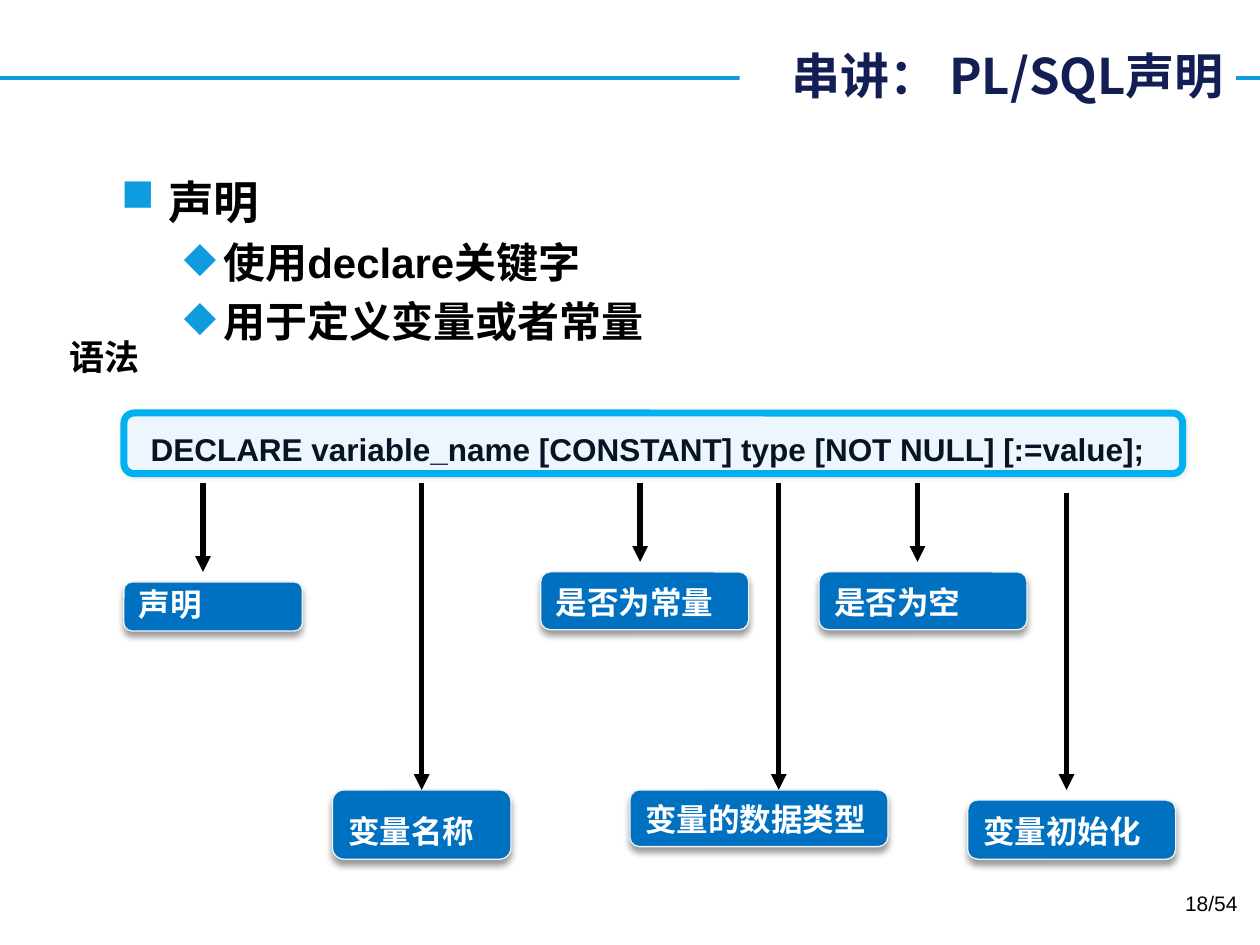
"""Build the slide that explains PL/SQL declarations and their syntax."""
from dataclasses import dataclass
from typing import Any, Optional

import lxml.etree
import pptx
import pptx.dml.color
import pptx.enum.shapes
import pptx.enum.text
import pptx.oxml
import pptx.oxml.ns
import pptx.util

Pt = pptx.util.Pt
RGB = pptx.dml.color.RGBColor.from_string
ANCHOR = pptx.enum.text.MSO_ANCHOR
ALIGN = pptx.enum.text.PP_ALIGN
SHAPE = pptx.enum.shapes.MSO_SHAPE
NAMESPACE = 'xmlns:a="http://schemas.openxmlformats.org/drawingml/2006/main"'


@dataclass(frozen=True)
class Theme:
    accent: str = "0E9CDE"
    title: str = "121E54"
    text: str = "000000"
    white: str = "FFFFFF"
    label_fill: str = "0070C0"
    label_line: str = "F2F2F2"
    code_fill: str = "EDF5FD"
    code_line: str = "00B0F0"
    code_text: str = "071424"
    latin: str = "Arial"
    chinese: str = "Noto Sans CJK SC"
    title_size: float = 28
    bullet_size: float = 26
    sub_bullet_size: float = 24
    heading_size: float = 20
    label_size: float = 18
    number_size: float = 12


@dataclass(frozen=True)
class Box:
    left: float
    top: float
    width: float
    height: float


@dataclass(frozen=True)
class Shadow:
    alpha: int
    blur: float
    distance: float
    direction: int


@dataclass(frozen=True)
class Bullet:
    text: str
    symbol: str
    level: int
    margin: float
    hanging: float
    size: float


@dataclass(frozen=True)
class Part:
    text: str
    box: Box
    arrow_x: float
    arrow_top: float
    arrow_bottom: float
    joined: bool = False


THEME = Theme()
SOFT_SHADOW = Shadow(10, 3, 0, 0)
LABEL_SHADOW = Shadow(40, 4, 3, 90)
ARROW_TOP, UPPER_TIP, LOWER_TIP = 275.8, 321.1, 451.4
BULLETS = (
    Bullet("声明", "■", 0, 27, 27, THEME.bullet_size),
    Bullet("使用declare关键字", "◆", 1, 58.5, 22.5, THEME.sub_bullet_size),
    Bullet("用于定义变量或者常量", "◆", 1, 58.5, 22.5, THEME.sub_bullet_size),
)
PARTS = (
    Part("声明", Box(70.8, 332.6, 102, 28), 116, ARROW_TOP, 326.8),
    Part("变量名称", Box(190, 451.4, 102, 39.6), 241, ARROW_TOP, LOWER_TIP, True),
    Part("是否为常量", Box(309, 326.8, 118.8, 33.1), 365.8, ARROW_TOP, UPPER_TIP),
    Part("变量的数据类型", Box(360, 451.4, 147.4, 32.4), 445, ARROW_TOP, LOWER_TIP),
    Part("是否为空", Box(468, 326.8, 118.8, 33.1), 524.3, ARROW_TOP, UPPER_TIP),
    Part("变量初始化", Box(553, 457.2, 118.8, 33.8), 609.5, 281.5, LOWER_TIP),
)


def set_format(target: Any, **values: Any) -> None:
    """Set every given attribute on the target."""
    for name, value in values.items():
        setattr(target, name, value)


def place(box: Box) -> tuple:
    """Return the box as point lengths."""
    return Pt(box.left), Pt(box.top), Pt(box.width), Pt(box.height)


def effect_list(shadow: Optional[Shadow] = None) -> Any:
    """Return an effect list, empty or with an outer shadow."""
    effects = pptx.oxml.parse_xml(f"<a:effectLst {NAMESPACE}/>")
    if shadow:
        effects.append(pptx.oxml.parse_xml(
            f'<a:outerShdw {NAMESPACE} blurRad="{Pt(shadow.blur)}" dist="{Pt(shadow.distance)}" '
            f'dir="{shadow.direction * 60000}" algn="ctr" rotWithShape="0"><a:srgbClr val="{THEME.text}">'
            f'<a:alpha val="{shadow.alpha * 1000}"/></a:srgbClr></a:outerShdw>'))
    return effects


def write(paragraph: Any, text: str, size: float, color: str, bold: bool = True,
          latin: str = THEME.latin) -> Any:
    """Add one formatted run to the paragraph."""
    run = paragraph.add_run()
    run.text = text
    set_format(run.font, size=Pt(size), bold=bold, name=latin)
    run.font.color.rgb = RGB(color)
    properties = run.font._element
    properties.find(pptx.oxml.ns.qn("a:latin")).addnext(
        pptx.oxml.parse_xml(f'<a:ea {NAMESPACE} typeface="{THEME.chinese}"/>'))
    return run


def add_text_box(slide: Any, box: Box, **values: Any) -> Any:
    """Add a text box and return its text frame."""
    frame = slide.shapes.add_textbox(*place(box)).text_frame
    set_format(frame, **{"word_wrap": True, **values})
    return frame


def add_line(slide: Any, start: tuple, end: tuple, color: str, width: float, arrow: bool = False) -> Any:
    """Add a straight line, with an arrowhead at its end if asked."""
    line = slide.shapes.add_connector(
        pptx.enum.shapes.MSO_CONNECTOR.STRAIGHT, *map(Pt, start + end))
    line.line.color.rgb = RGB(color)
    line.line.width = Pt(width)
    if arrow:
        tail = lxml.etree.SubElement(line.line._get_or_add_ln(), pptx.oxml.ns.qn("a:tailEnd"))
        tail.set("type", "triangle")
    line._element.spPr.append(effect_list())
    return line


def add_panel(slide: Any, box: Box, fill: str, outline: str, width: float, shadow: Shadow,
              anchor: Any) -> Any:
    """Add a rounded rectangle ready for left-aligned text."""
    panel = slide.shapes.add_shape(SHAPE.ROUNDED_RECTANGLE, *place(box))
    panel.fill.solid()
    panel.fill.fore_color.rgb = RGB(fill)
    panel.line.color.rgb = RGB(outline)
    panel.line.width = Pt(width)
    panel._element.spPr.append(effect_list(shadow))
    set_format(panel.text_frame, word_wrap=True, vertical_anchor=anchor)
    panel.text_frame.paragraphs[0].alignment = ALIGN.LEFT
    return panel


def add_title(slide: Any, text: str) -> None:
    """Place the title over the header line."""
    add_line(slide, (0, 44.6), (720, 44.6), THEME.accent, 2.25)
    title = slide.shapes.title
    set_format(title, **dict(zip(("left", "top", "width", "height"), place(Box(422.6, 22.3, 283.7, 41)))))
    title.fill.solid()
    title.fill.fore_color.rgb = RGB(THEME.white)
    set_format(title.text_frame, word_wrap=True, vertical_anchor=ANCHOR.MIDDLE)
    paragraph = title.text_frame.paragraphs[0]
    paragraph.alignment = ALIGN.RIGHT
    write(paragraph, text, THEME.title_size, THEME.title, latin=THEME.chinese)
    slide.shapes._spTree.append(title._element)


def add_bullets(slide: Any, box: Box) -> None:
    """Add the bulleted list."""
    frame = add_text_box(slide, box)
    for index, bullet in enumerate(BULLETS):
        paragraph = frame.add_paragraph() if index else frame.paragraphs[0]
        set_format(paragraph, level=bullet.level, space_before=Pt(bullet.size * 0.2 if index else 0))
        properties = paragraph._p.get_or_add_pPr()
        properties.set("marL", str(Pt(bullet.margin)))
        properties.set("indent", str(-Pt(bullet.hanging)))
        for xml in (f'<a:buClr {NAMESPACE}><a:srgbClr val="{THEME.accent}"/></a:buClr>',
                    f'<a:buChar {NAMESPACE} char="{bullet.symbol}"/>'):
            properties.append(pptx.oxml.parse_xml(xml))
        write(paragraph, bullet.text, bullet.size, THEME.text)


def add_part(slide: Any, part: Part) -> None:
    """Add a label and the arrow that leads to it."""
    panel = add_panel(slide, part.box, THEME.label_fill, THEME.label_line, 0.75, LABEL_SHADOW, ANCHOR.BOTTOM)
    write(panel.text_frame.paragraphs[0], part.text, THEME.label_size, THEME.white)
    arrow = add_line(slide, (part.arrow_x, part.arrow_top), (part.arrow_x, part.arrow_bottom),
                     THEME.text, 3, arrow=True)
    if part.joined:
        arrow.end_connect(panel, 0)


def main() -> None:
    """Build and save the presentation."""
    presentation = pptx.Presentation()
    set_format(presentation, slide_width=Pt(720), slide_height=Pt(540))
    slide = presentation.slides.add_slide(presentation.slide_layouts[5])
    add_title(slide, "串讲： PL/SQL声明")
    add_bullets(slide, Box(62, 95.8, 602, 404.6))
    code = add_panel(slide, Box(70.8, 236, 605, 34.6), THEME.code_fill, THEME.code_line, 4,
                     SOFT_SHADOW, ANCHOR.TOP).text_frame.paragraphs[0]
    code.line_spacing = 1.2
    code._p.get_or_add_pPr().set("marL", str(Pt(6.5)))
    write(code, "DECLARE variable_name [CONSTANT] type [NOT NULL] [:=value];", THEME.label_size, THEME.code_text)
    for part in PARTS:
        add_part(slide, part)
    heading = add_text_box(slide, Box(32.4, 188, 55.4, 31.7), word_wrap=False, vertical_anchor=ANCHOR.MIDDLE)
    run = write(heading.paragraphs[0], "语法", THEME.heading_size, THEME.text, latin=THEME.chinese)
    run.font._element.find(pptx.oxml.ns.qn("a:solidFill")).addnext(effect_list(LABEL_SHADOW))
    number = add_text_box(slide, Box(546.5, 505.4, 167.8, 28.8)).paragraphs[0]
    number.alignment = ALIGN.RIGHT
    write(number, "18/54", THEME.number_size, THEME.text, bold=False)
    presentation.save("out.pptx")


if __name__ == "__main__":
    main()
